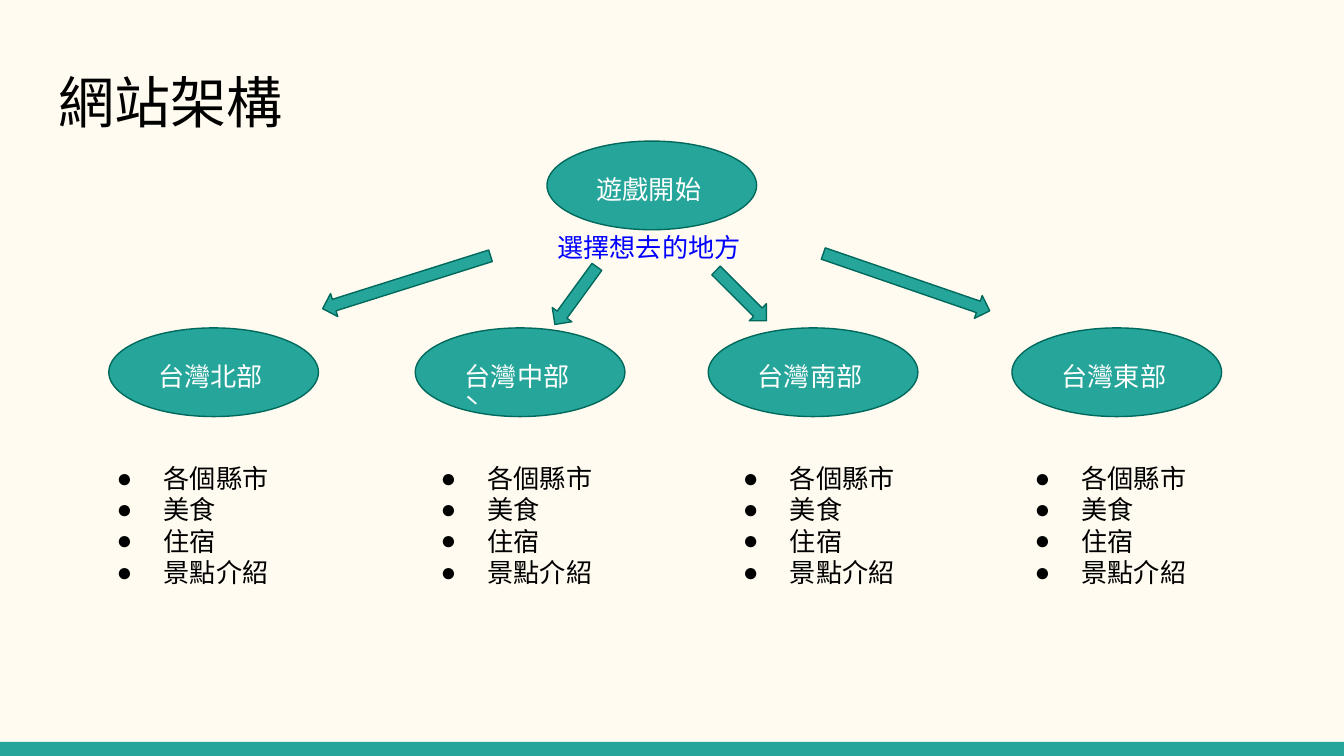
from dataclasses import dataclass

from lxml.etree import SubElement
from pptx import Presentation
from pptx.dml.color import RGBColor
from pptx.enum.shapes import MSO_SHAPE
from pptx.enum.text import MSO_ANCHOR
from pptx.oxml.ns import qn
from pptx.util import Inches, Pt


@dataclass(frozen=True)
class Theme:
    font: str = "Arial"
    title_size: int = 30
    body_size: int = 14
    outline_width: float = 0.75
    background: str = "FFFBF0"
    accent: str = "26A69A"
    outline: str = "00695C"
    ink: str = "000000"
    prompt: str = "0000FF"
    node_text: str = "FFFFFF"


class SiteMap:
    """Draw the elements of a site map on one slide in one theme."""

    def __init__(self, slide, theme):
        self.slide = slide
        self.theme = theme
        slide.background.fill.solid()
        slide.background.fill.fore_color.rgb = RGBColor.from_string(theme.background)

    def shape(self, kind, left, top, width, height, outlined=True):
        figure = self.slide.shapes.add_shape(
            kind, Inches(left), Inches(top), Inches(width), Inches(height))
        figure.shadow.inherit = False
        figure.fill.solid()
        figure.fill.fore_color.rgb = RGBColor.from_string(self.theme.accent)
        if outlined:
            figure.line.color.rgb = RGBColor.from_string(self.theme.outline)
            figure.line.width = Pt(self.theme.outline_width)
        else:
            figure.line.fill.background()
        return figure

    def text(self, words, left, top, width, height, color, size=None):
        box = self.slide.shapes.add_textbox(
            Inches(left), Inches(top), Inches(width), Inches(height))
        frame = box.text_frame
        frame.word_wrap = True
        frame.vertical_anchor = MSO_ANCHOR.TOP
        frame.margin_left = frame.margin_right = Inches(0.1)
        frame.margin_top = frame.margin_bottom = Inches(0.1)
        frame.text = words
        for paragraph in frame.paragraphs:
            for run in paragraph.runs:
                run.font.name = self.theme.font
                run.font.size = Pt(size or self.theme.body_size)
                run.font.color.rgb = RGBColor.from_string(color)
        return frame

    def node(self, label, left, top):
        self.shape(MSO_SHAPE.OVAL, left, top, 1.56, 0.66)
        self.text(label, left + 0.27, top + 0.14, 1.01, 0.38, self.theme.node_text)

    def arrow(self, left, top, length, angle):
        self.shape(MSO_SHAPE.RIGHT_ARROW, left, top, length, 0.18).rotation = angle

    def bullets(self, items, left, top):
        frame = self.text("\n".join(items), left, top, 1.66, 1.17, self.theme.ink)
        for paragraph in frame.paragraphs:
            properties = paragraph._p.get_or_add_pPr()
            properties.set("marL", str(Inches(0.5)))
            properties.set("indent", str(Inches(-0.35)))
            bullet_color = SubElement(properties, qn("a:buClr"))
            SubElement(bullet_color, qn("a:srgbClr"), val=self.theme.ink)
            SubElement(properties, qn("a:buFont"), typeface=self.theme.font)
            SubElement(properties, qn("a:buChar"), char="●")


def main():
    presentation = Presentation()
    presentation.slide_width = Inches(10)
    presentation.slide_height = presentation.slide_width * 9 // 16
    theme = Theme()
    site_map = SiteMap(
        presentation.slides.add_slide(presentation.slide_layouts[6]), theme)

    site_map.shape(MSO_SHAPE.RECTANGLE, 0, 5.52, 10, 0.11, outlined=False)
    site_map.text("網站架構", 0.34, 0.4, 2.21, 0.67, theme.ink, theme.title_size)
    site_map.node("遊戲開始", 4.07, 1.05)

    regions = [
        ("台灣北部", 0.81, 0.62),
        ("台灣中部ˋ", 3.09, 3.03),
        ("台灣南部", 5.27, 5.28),
        ("台灣東部", 7.53, 7.45),
    ]
    topics = ["各個縣市", "美食", "住宿", "景點介紹"]
    for region, node_left, topics_left in regions:
        site_map.node(region, node_left, 2.44)
        site_map.bullets(topics, topics_left, 3.34)

    routes = [
        (2.37, 2.01, 1.31, 162.5),
        (4.02, 2.11, 0.53, 126.1),
        (5.25, 2.11, 0.53, 44.9),
        (6.09, 2.01, 1.31, 19),
    ]
    for route in routes:
        site_map.arrow(*route)
    site_map.text("選擇想去的地方", 4.05, 1.62, 1.74, 0.33, theme.prompt)

    presentation.save("out.pptx")


if __name__ == "__main__":
    main()
